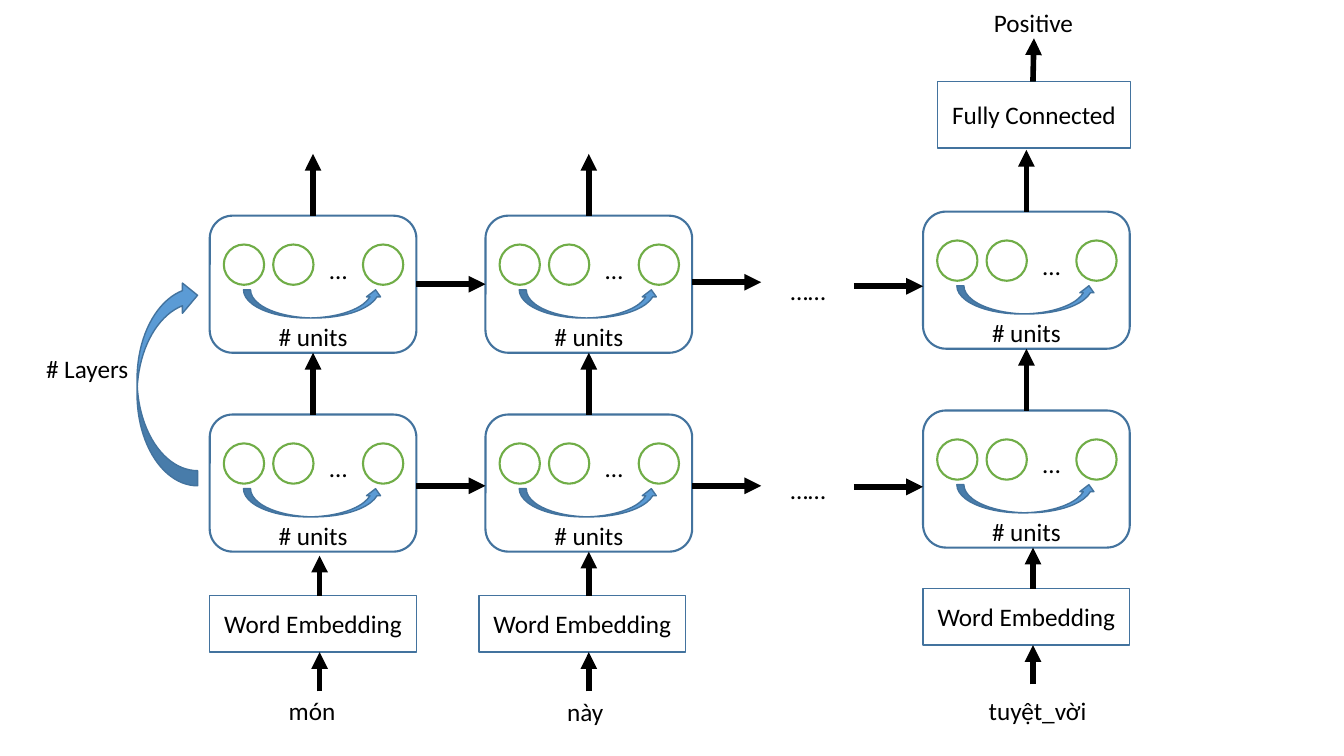
"""Stacked recurrent network that classifies the sentiment of a sentence."""
from dataclasses import dataclass

import pptx
import pptx.dml.color
import pptx.enum.shapes
import pptx.enum.text
import pptx.oxml
import pptx.oxml.ns
import pptx.util

SHAPE = pptx.enum.shapes.MSO_SHAPE
ANCHOR = pptx.enum.text.MSO_ANCHOR
ALIGN = pptx.enum.text.PP_ALIGN


@dataclass(frozen=True)
class Theme:
    """Colours, font, type size and line widths."""
    ink: str = "000000"
    paper: str = "FFFFFF"
    blue: str = "5B9BD5"
    edge: str = "43739E"
    green: str = "70AD47"
    font: str = "Calibri"
    size: float = 18
    thin: float = 1
    medium: float = 1.5
    thick: float = 4


T = Theme()
SLIDE_W, SLIDE_H = pptx.util.Inches(13.33), pptx.util.Inches(7.5)
COLS, ROWS = 133.3, 75         # grid of the slide; every length below is in its cells
CELL_W, CELL_H = 20.5, 13.6    # one recurrent cell
LAYER_STEP, LAYERS = 19.73, 2
EMBED_H, LABEL_H = 5.6, 4
SIDE_ARROW = 6.85


def gx(cols):
    """Turn grid columns into a length."""
    return round(cols * SLIDE_W / COLS)


def gy(rows):
    """Turn grid rows into a length."""
    return round(rows * SLIDE_H / ROWS)


def rgb(colour):
    """Turn a hex string into a colour."""
    return pptx.dml.color.RGBColor.from_string(colour)


def write(sp, text, align=ALIGN.CENTER, anchor=ANCHOR.TOP, wrap=False,
          size=T.size, colour=T.ink):
    """Write one formatted paragraph into a shape."""
    tf = sp.text_frame
    tf.word_wrap, tf.vertical_anchor = wrap, anchor
    p = tf.paragraphs[0]
    p.alignment = align
    r = p.add_run()
    r.text = text
    r.font.name, r.font.size = T.font, pptx.util.Pt(size)
    r.font.color.rgb = rgb(colour)


def label(shapes, text, x, y, w):
    """Add a one-line label in a box that starts at x, y."""
    write(shapes.add_textbox(gx(x), gy(y), gx(w), gy(LABEL_H)), text)


def shape(shapes, kind, x, y, w, h, fill=None, line=T.edge, width=T.thin):
    """Add a preset shape with the given fill and outline."""
    sp = shapes.add_shape(kind, gx(x), gy(y), gx(w), gy(h))
    sp.shadow.inherit = False
    if fill:
        sp.fill.solid()
        sp.fill.fore_color.rgb = rgb(fill)
    else:
        sp.fill.background()
    sp.line.color.rgb = rgb(line)
    sp.line.width = pptx.util.Pt(width)
    return sp


def text_block(shapes, text, x, y, w, h):
    """Add an outlined rectangle with centred text."""
    write(shape(shapes, SHAPE.RECTANGLE, x, y, w, h), text,
          anchor=ANCHOR.MIDDLE, wrap=True)


def arrow(shapes, x1, y1, x2, y2):
    """Add a thick straight arrow that points at x2, y2."""
    line = shapes.add_connector(pptx.enum.shapes.MSO_CONNECTOR.STRAIGHT,
                                gx(x1), gy(y1), gx(x2), gy(y2))
    line.line.color.rgb = rgb(T.ink)
    line.line.width = pptx.util.Pt(T.thick)
    tail = pptx.oxml.parse_xml(
        f'<a:tailEnd {pptx.oxml.ns.nsdecls("a")} type="triangle"/>')
    line.line._get_or_add_ln().append(tail)
    line._element.spPr.append(pptx.oxml.parse_xml(
        f'<a:effectLst {pptx.oxml.ns.nsdecls("a")}/>'))


def recurrent_cell(shapes, x, y):
    """Draw one cell with its row of units, grouped, in the box at x, y."""
    parts = shapes.add_group_shape().shapes
    shape(parts, SHAPE.ROUNDED_RECTANGLE, x, y, CELL_W, CELL_H, width=T.medium)
    for dx in (1.4, 6.3, 15.2):
        shape(parts, SHAPE.OVAL, x + dx, y + 2.86, 4, 4,
              T.paper, T.green, T.medium)
    label(parts, "…", x + 10.85, y + 3.3, 3.8)
    shape(parts, SHAPE.CURVED_UP_ARROW, x + 3.35, y + 7.35, 13.8, 2.8, T.blue)
    label(parts, "# units", x + 5.8, y + 10, 8.9)


def word_column(shapes, x, y, word, word_x, word_y, word_w,
                embed_dx=0, embed_y=59.1, feed_x=58.4, gap=0):
    """Draw a word, its embedding and the layers above it; top cell at x, y."""
    mid = x + CELL_W / 2
    for layer in range(LAYERS):
        top = y + layer * LAYER_STEP
        recurrent_cell(shapes, x, top)
        arrow(shapes, mid, top, mid, top - LAYER_STEP + CELL_H)
    bottom = y + (LAYERS - 1) * LAYER_STEP + CELL_H
    embed_end = embed_y + EMBED_H
    text_block(shapes, "Word Embedding", x + embed_dx, embed_y, CELL_W, EMBED_H)
    arrow(shapes, feed_x, embed_y, feed_x, bottom + gap)
    arrow(shapes, feed_x, embed_end + 3.9, feed_x, embed_end)
    label(shapes, word, word_x, word_y, word_w)


def time_links(shapes, starts, levels, dots_x):
    """Draw the arrows between columns, and the dots for skipped words."""
    for start, heights in zip(starts, levels):
        for y in heights:
            arrow(shapes, start, y, start + SIDE_ARROW, y)
    for layer in range(LAYERS):
        label(shapes, "……", dots_x, 26.83 + layer * LAYER_STEP, 5.5)


def output_head(shapes, x, y, w, h):
    """Draw the dense layer in the given box and the result above it."""
    text_block(shapes, "Fully Connected", x, y, w, h)
    arrow(shapes, x + w / 2 - 0.1, y, x + w / 2, y - 4.3)
    label(shapes, "Positive", x + 4.5, y - 7.9, 10)


def layer_bracket(shapes, x, y, w, h):
    """Draw the curved arrow up the layers, with its label on the left."""
    sp = shape(shapes, SHAPE.CURVED_RIGHT_ARROW, x, y, w, h, T.blue)
    sp._element.spPr.find(pptx.oxml.ns.qn("a:xfrm")).set("flipV", "1")
    label(shapes, "# Layers", x - 10.1, y + h / 3, 10.3)


def network_slide(prs):
    """Build the slide from its columns, links and output."""
    s = prs.slides.add_slide(prs.slide_layouts[6]).shapes
    word_column(s, 20.8, 21.4, "món", 27.6, 68.5, 6.7, feed_x=31.7, gap=0.4)
    word_column(s, 48.15, 21.4, "này", 55.2, 68.6, 5.7, embed_dx=-0.65)
    word_column(s, 91.55, 21, "tuyệt_vời", 97, 68.5, 11.8,
                embed_y=58.4, feed_x=102.45)
    time_links(s, (41.3, 68.65, 84.7),
               ((28.2, 48.2), (28, 48.2), (28.4, 48.3)), 77.4)
    output_head(s, 93, 8.1, 19.1, 6.6)
    layer_bracket(s, 13.6, 27.8, 6, 20.4)


prs = pptx.Presentation()
prs.slide_width, prs.slide_height = SLIDE_W, SLIDE_H
network_slide(prs)
prs.save("out.pptx")
